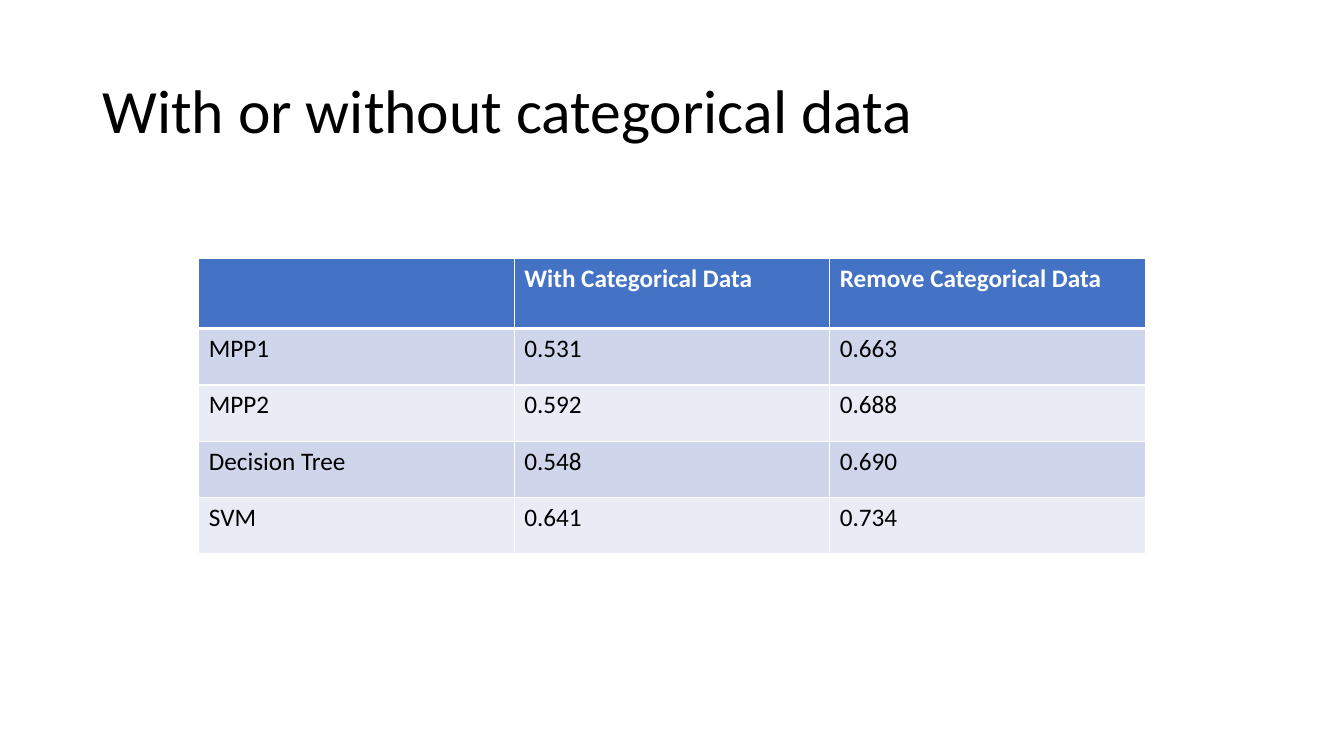
from lxml import etree
from pptx import Presentation
from pptx import util as u
from pptx.dml.color import RGBColor
from pptx.enum import text
from pptx.oxml.ns import qn

TITLE = "With or without categorical data"
ROWS = [
    ("", "With Categorical Data", "Remove Categorical Data"),
    ("MPP1", "0.531", "0.663"),
    ("MPP2", "0.592", "0.688"),
    ("Decision Tree", "0.548", "0.690"),
    ("SVM", "0.641", "0.734"),
]
COLORS = {"header": "4472C4", "odd": "CFD5EA", "even": "E9EBF5",
          "white": "FFFFFF", "black": "000000"}
FONT = "Calibri"
LEFT, TOP, COL_W, HEADER_H, ROW_H = 5.01, 6.52, 7.95, 1.76, 1.42


def write(tf, content, size=18, color="black", bold=False, spacing=1.0):
    p = tf.paragraphs[0]
    p.line_spacing = spacing
    p.font.size = u.Pt(size)
    if content:
        r = p.add_run()
        r.text = content
        r.font.name, r.font.size, r.font.bold = FONT, u.Pt(size), bold
        r.font.color.rgb = RGBColor.from_string(COLORS[color])


def set_border(cell, side, width):
    """Draw one white cell edge; side is L, R, T or B."""
    ln = etree.SubElement(cell._tc.get_or_add_tcPr(), qn(f"a:ln{side}"), w=str(u.Pt(width)))
    fill = etree.SubElement(ln, qn("a:solidFill"))
    etree.SubElement(fill, qn("a:srgbClr"), val=COLORS["white"])


def add_title(s):
    sp = s.shapes.add_textbox(u.Cm(2.33), u.Cm(1.01), u.Cm(29.21), u.Cm(3.68))
    tf = sp.text_frame
    tf.word_wrap = True
    tf.vertical_anchor = text.MSO_ANCHOR.MIDDLE
    write(tf, TITLE, size=44, spacing=0.9)


def add_scores(s):
    n_rows, n_cols = len(ROWS), len(ROWS[0])
    height = HEADER_H + ROW_H * (n_rows - 1)
    table = s.shapes.add_table(n_rows, n_cols, u.Cm(LEFT), u.Cm(TOP),
                               u.Cm(COL_W * n_cols), u.Cm(height)).table
    for col in table.columns:
        col.width = u.Cm(COL_W)
    for i, row in enumerate(ROWS):
        header = i == 0
        table.rows[i].height = u.Cm(HEADER_H if header else ROW_H)
        shade = "header" if header else "odd" if i % 2 else "even"
        for j, value in enumerate(row):
            cell = table.cell(i, j)
            for side in "LRTB":
                thick = (header and side == "B") or (i == 1 and side == "T")
                set_border(cell, side, 3 if thick else 1)
            cell.fill.solid()
            cell.fill.fore_color.rgb = RGBColor.from_string(COLORS[shade])
            write(cell.text_frame, value, color="white" if header else "black", bold=header)


def main():
    prs = Presentation()
    prs.slide_width, prs.slide_height = u.Cm(33.87), u.Cm(19.05)
    s = prs.slides.add_slide(prs.slide_layouts[6])
    add_title(s)
    add_scores(s)
    prs.save("out.pptx")


if __name__ == "__main__":
    main()
